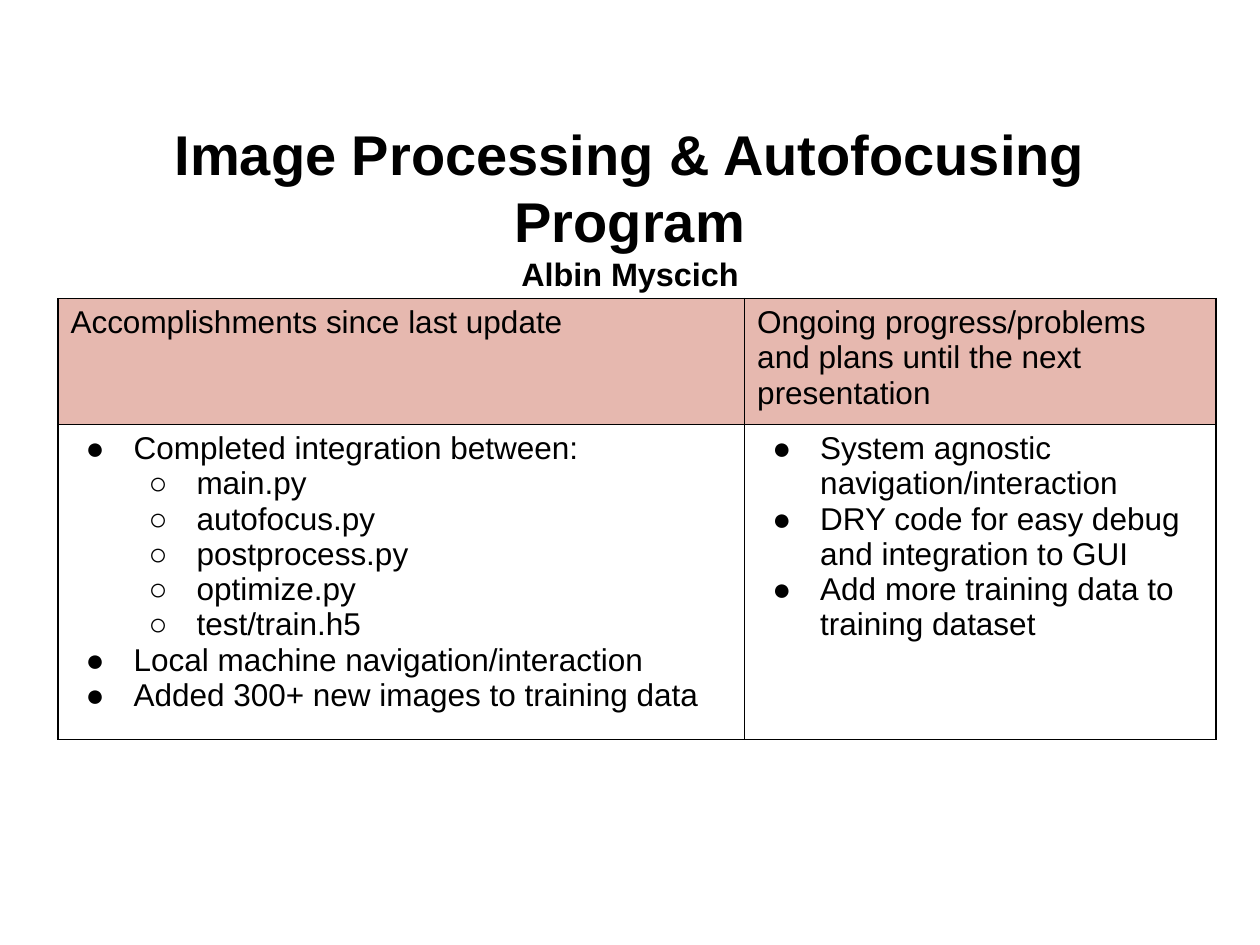
"""Build the Image Processing & Autofocusing Program progress slide."""
from dataclasses import dataclass

from lxml import etree
from pptx import Presentation
from pptx.dml.color import RGBColor
from pptx.enum.text import MSO_ANCHOR, PP_ALIGN
from pptx.oxml.ns import qn
from pptx.util import Inches, Pt

CENTER, LEFT = PP_ALIGN.CENTER, PP_ALIGN.LEFT
MIDDLE = MSO_ANCHOR.MIDDLE


@dataclass(frozen=True)
class Theme:
    font: str = "Arial"
    ink: str = "000000"
    header: str = "E6B8AF"
    title: float = 32
    author: float = 18.5
    body: float = 18
    border: float = 1


THEME = Theme()
BULLETS = "●○"


def write(tf, text, size=THEME.body, bold=False, align=LEFT, level=None):
    p = tf.paragraphs[0]
    if p.runs:
        p = tf.add_paragraph()
    p.alignment = align
    r = p.add_run()
    r.text = text
    r.font.name, r.font.size, r.font.bold = THEME.font, Pt(size), bold
    r.font.color.rgb = RGBColor.from_string(THEME.ink)
    if level is not None:
        p.level = level
        pPr = p._p.get_or_add_pPr()
        pPr.set("marL", str(Inches(0.5 * (level + 1))))
        pPr.set("indent", str(Inches(-0.38)))
        color = etree.SubElement(pPr, qn("a:buClr"))
        etree.SubElement(color, qn("a:srgbClr"), val=THEME.ink)
        etree.SubElement(pPr, qn("a:buFont"), typeface=THEME.font)
        etree.SubElement(pPr, qn("a:buChar"), char=BULLETS[level])


def add_borders(cell):
    tcPr = cell._tc.get_or_add_tcPr()
    for side in ("lnL", "lnR", "lnT", "lnB"):
        ln = etree.SubElement(tcPr, qn(f"a:{side}"), w=str(Pt(THEME.border)))
        fill = etree.SubElement(ln, qn("a:solidFill"))
        etree.SubElement(fill, qn("a:srgbClr"), val=THEME.ink)


prs = Presentation()
prs.slide_width, prs.slide_height = Inches(10), Inches(7.5)
s = prs.slides.add_slide(prs.slide_layouts[6])

title = s.shapes.add_textbox(Inches(0.5), Inches(1.49), Inches(9), Inches(0.88))
tf = title.text_frame
tf.word_wrap = True
tf.vertical_anchor = MIDDLE
tf.margin_bottom = Inches(0.64)
write(tf, "Image Processing & Autofocusing Program", size=THEME.title, bold=True, align=CENTER)
write(tf, "Albin Myscich", size=THEME.author, bold=True, align=CENTER)

columns = [
    (5.45, "Accomplishments since last update", [
        ("Completed integration between:", 0),
        ("main.py", 1),
        ("autofocus.py", 1),
        ("postprocess.py", 1),
        ("optimize.py", 1),
        ("test/train.h5", 1),
        ("Local machine navigation/interaction", 0),
        ("Added 300+ new images to training data", 0),
    ]),
    (3.74, "Ongoing progress/problems and plans until the next presentation", [
        ("System agnostic navigation/interaction", 0),
        ("DRY code for easy debug and integration to GUI", 0),
        ("Add more training data to training dataset", 0),
    ]),
]
table = s.shapes.add_table(
    2, len(columns), Inches(0.46), Inches(2.37), Inches(9.19), Inches(2.9)).table
table.first_row = table.horz_banding = False
table.rows[0].height, table.rows[1].height = Inches(1), Inches(1.9)

for i, (width, heading, items) in enumerate(columns):
    table.columns[i].width = Inches(width)
    head, body = table.cell(0, i), table.cell(1, i)
    for cell in (head, body):
        add_borders(cell)
    head.fill.solid()
    head.fill.fore_color.rgb = RGBColor.from_string(THEME.header)
    body.fill.background()
    write(head.text_frame, heading)
    for text, level in items:
        write(body.text_frame, text, level=level)

prs.save("out.pptx")
